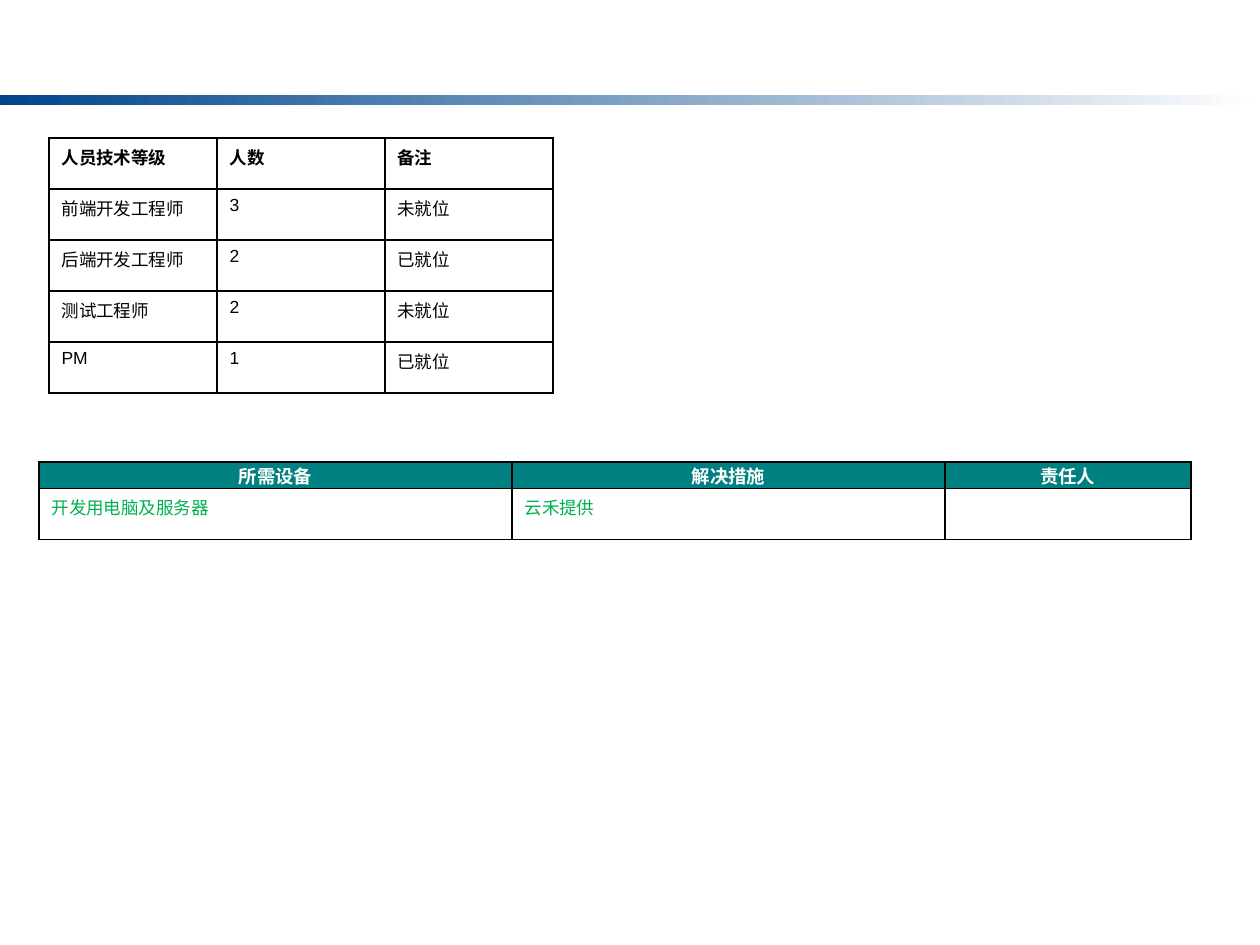
from dataclasses import dataclass

from pptx import Presentation
from pptx.dml.color import RGBColor
from pptx.enum.shapes import MSO_SHAPE as Shape
from pptx.enum.text import MSO_ANCHOR as Anchor, PP_ALIGN as Align
from pptx.oxml import parse_xml
from pptx.oxml.ns import nsdecls
from pptx.util import Pt

# Content
STAFF = [
    ("人员技术等级", "人数", "备注"),
    ("前端开发工程师", "3", "未就位"),
    ("后端开发工程师", "2", "已就位"),
    ("测试工程师", "2", "未就位"),
    ("PM", "1", "已就位"),
]
EQUIPMENT = [
    ("所需设备", "解决措施", "责任人"),
    ("开发用电脑及服务器", "云禾提供", ""),
]


@dataclass(frozen=True)
class Theme:
    black: str = "000000"
    white: str = "FFFFFF"
    navy: str = "00458A"
    teal: str = "008080"
    green: str = "00B050"
    latin: str = "Arial"
    chinese: str = "Noto Sans CJK SC"
    header_size: float = 10.5
    body_size: float = 10
    border: float = 1


THEME = Theme()


def px(count):
    return round(count * 914400 / 126)


def write_text(frame, text, *, size=THEME.body_size, color=THEME.black,
               font=THEME.latin, bold=False, align=Align.LEFT):
    if not text:
        return
    paragraph = frame.paragraphs[0]
    paragraph.alignment = align
    run = paragraph.add_run()
    run.text = text
    run.font.size = Pt(size)
    run.font.bold = bold
    run.font.name = font
    run.font.color.rgb = RGBColor.from_string(color)
    run.font._element.get_or_add_latin().addnext(
        parse_xml(f'<a:ea {nsdecls("a")} typeface="{THEME.chinese}"/>'))


def add_borders(cell):
    properties = cell._tc.get_or_add_tcPr()
    for side in ("lnL", "lnR", "lnT", "lnB"):
        properties.append(parse_xml(
            f'<a:{side} {nsdecls("a")} w="{Pt(THEME.border)}"><a:solidFill>'
            f'<a:srgbClr val="{THEME.black}"/></a:solidFill></a:{side}>'))


def add_grid(slide, rows, *, left, top, widths, heights, header, body,
             header_fill=None, body_fill=None, tight_header=False):
    table = slide.shapes.add_table(
        len(rows), len(widths), px(left), px(top),
        px(sum(widths)), px(sum(heights))).table
    for column, width in zip(table.columns, widths):
        column.width = px(width)
    for index, (row, height) in enumerate(zip(rows, heights)):
        table.rows[index].height = px(height)
        is_header = index == 0
        fill = header_fill if is_header else body_fill
        for position, text in enumerate(row):
            cell = table.cell(index, position)
            add_borders(cell)
            if fill:
                cell.fill.solid()
                cell.fill.fore_color.rgb = RGBColor.from_string(fill)
            else:
                cell.fill.background()
            if is_header and tight_header:
                cell.vertical_anchor = Anchor.BOTTOM
                cell.margin_left = cell.margin_right = 0
                cell.margin_top = cell.margin_bottom = 0
            write_text(cell.text_frame, text, **(header if is_header else body))


def main():
    presentation = Presentation()
    presentation.slide_width, presentation.slide_height = px(1260), px(945)
    slide = presentation.slides.add_slide(presentation.slide_layouts[6])

    # Gradient rule across the top
    rule = slide.shapes.add_shape(Shape.RECTANGLE, 0, px(95), px(1260), px(10))
    rule.shadow.inherit = False
    rule.line.fill.background()
    rule.fill.gradient()
    rule.fill.gradient_angle = 0
    for stop, color in zip(rule.fill.gradient_stops, (THEME.navy, THEME.white)):
        stop.color.rgb = RGBColor.from_string(color)

    # Staff table
    add_grid(slide, STAFF, left=49, top=138, widths=[168] * 3,
             heights=[51] * len(STAFF), header=dict(bold=True), body={})

    # Equipment table
    add_grid(slide, EQUIPMENT, left=39, top=462, widths=[473, 433, 246],
             heights=[26, 51], tight_header=True,
             header_fill=THEME.teal, body_fill=THEME.white,
             header=dict(size=THEME.header_size, color=THEME.white,
                         bold=True, align=Align.CENTER),
             body=dict(color=THEME.green, font=THEME.chinese))

    presentation.save("out.pptx")


if __name__ == "__main__":
    main()
